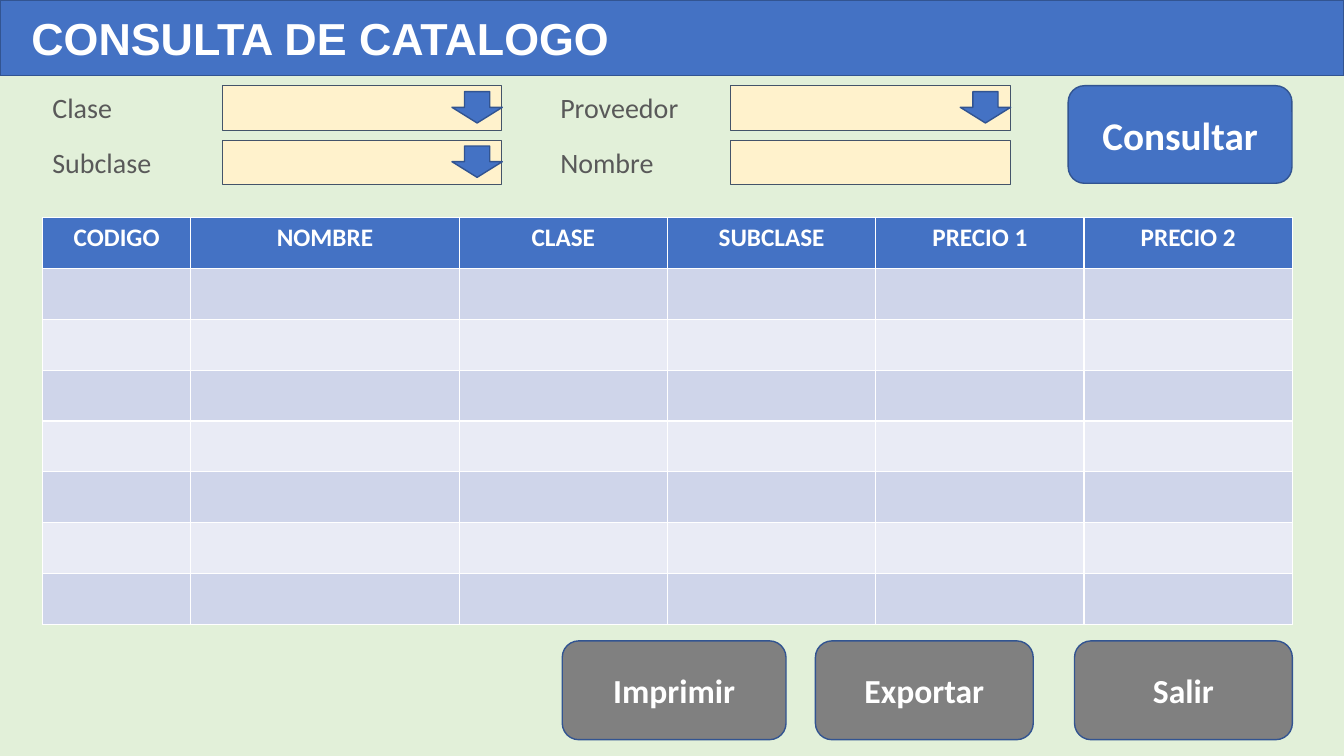
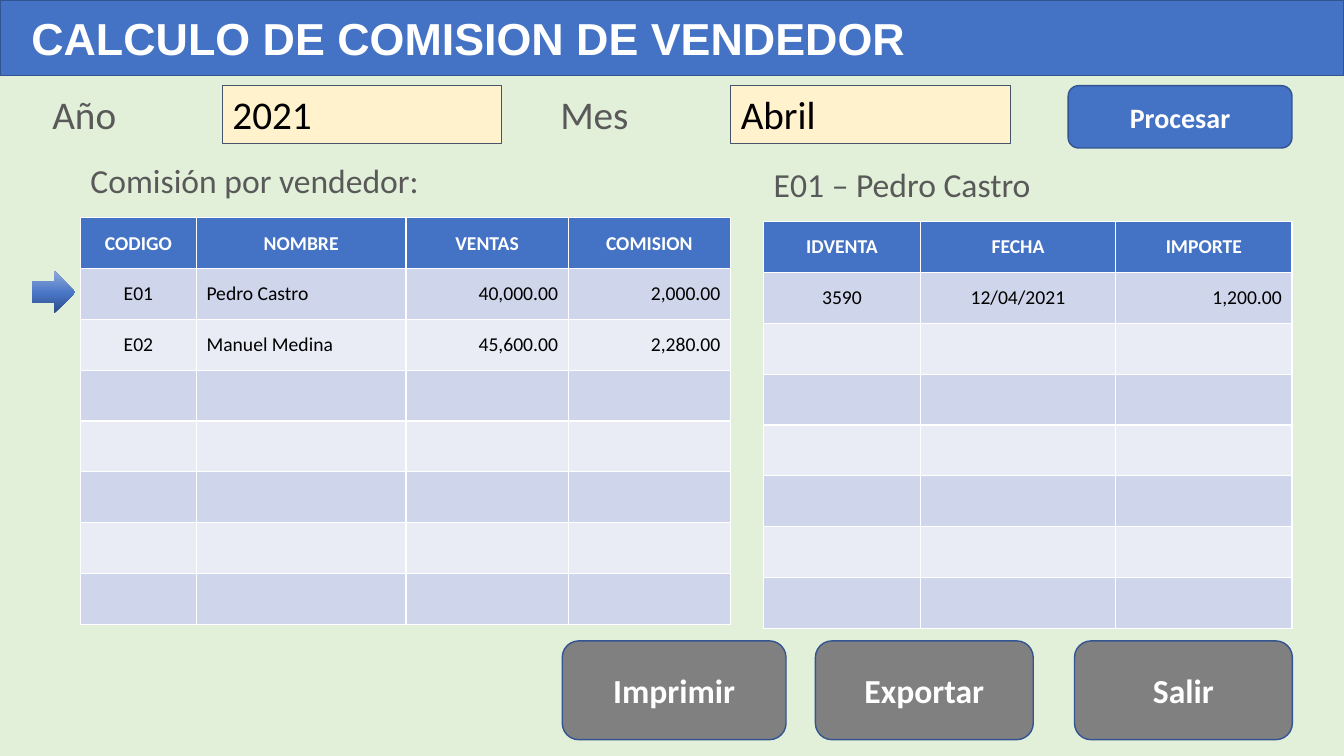
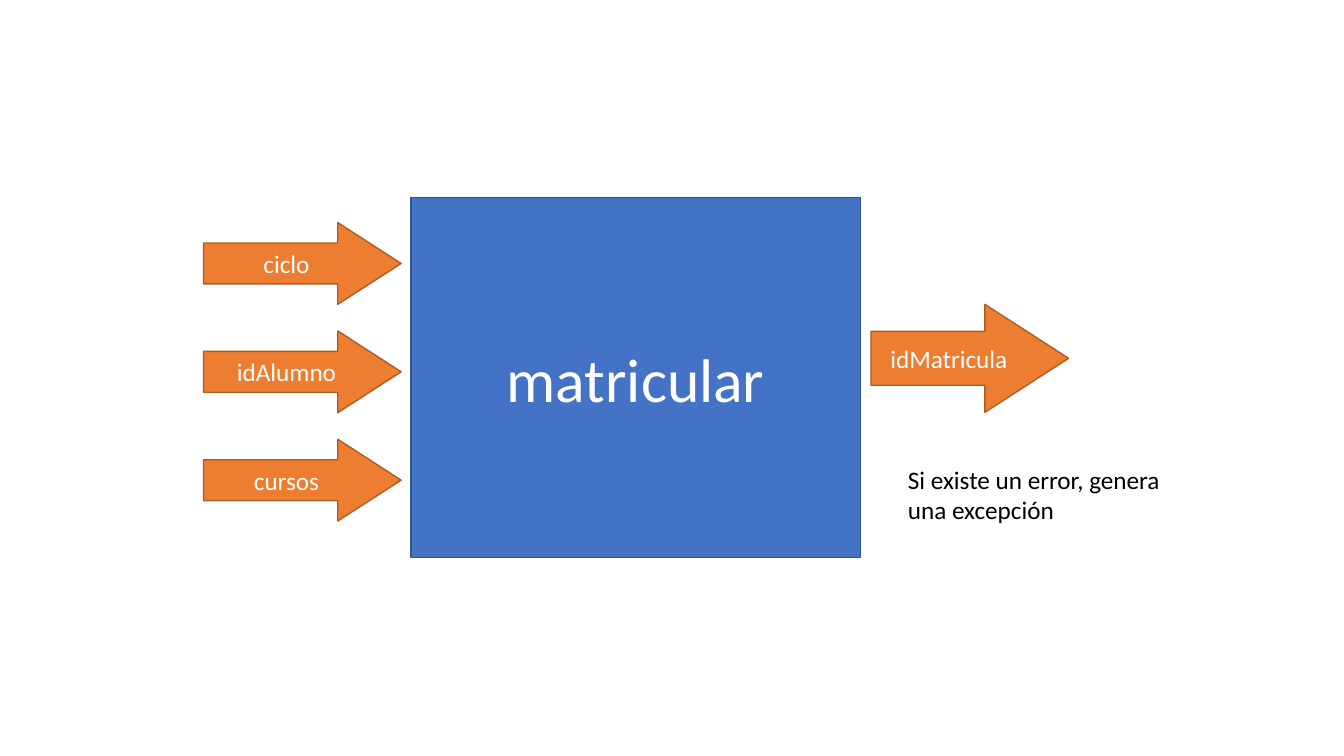
"""Builds two sales screens and one process diagram."""
from copy import deepcopy

from pptx import Presentation
from pptx import util as u
from pptx.dml.color import RGBColor
from pptx.enum import shapes, text
from pptx.oxml.ns import qn

BLUE = RGBColor(0x44, 0x72, 0xC4)
BLUE_EDGE = RGBColor(0x32, 0x54, 0x91)
BLUE_DARK = RGBColor(0x2A, 0x4B, 0x86)
BLUE_MID = RGBColor(0x4A, 0x76, 0xC6)
BLUE_LIGHT = RGBColor(0x8F, 0xAA, 0xDC)
ORANGE = RGBColor(0xED, 0x7D, 0x31)
ORANGE_EDGE = RGBColor(0xAF, 0x5C, 0x24)
CREAM = RGBColor(0xFF, 0xF2, 0xCC)
SLATE = RGBColor(0x44, 0x54, 0x6A)
GREEN = RGBColor(0xE2, 0xF0, 0xD9)
GRAY = RGBColor(0x80, 0x80, 0x80)
GRAY_TEXT = RGBColor(0x59, 0x59, 0x59)
BAND_DARK = RGBColor(0xCF, 0xD5, 0xEA)
BAND_LIGHT = RGBColor(0xE9, 0xEB, 0xF5)
WHITE = RGBColor(0xFF, 0xFF, 0xFF)
BLACK = RGBColor(0, 0, 0)

KIND = shapes.MSO_SHAPE
LEFT, CENTER, RIGHT = text.PP_ALIGN.LEFT, text.PP_ALIGN.CENTER, text.PP_ALIGN.RIGHT
TOP, MIDDLE = text.MSO_ANCHOR.TOP, text.MSO_ANCHOR.MIDDLE

WIDTH, HEIGHT = 33.87, 19.05
ROW_HEIGHT, ROW_COUNT = 1.28, 8
FIELD_TOP, FIELD_WIDTH = 2.16, 7.04
ARROW_WIDTH = 4.98


class Deck:
    """Holds the shared style and the current slide."""

    def __init__(self):
        self.file = Presentation()
        self.file.slide_width, self.file.slide_height = u.Cm(WIDTH), u.Cm(HEIGHT)
        self.slide = None

    def new_slide(self, color):
        self.slide = self.file.slides.add_slide(self.file.slide_layouts[6])
        self.slide.background.fill.solid()
        self.slide.background.fill.fore_color.rgb = color

    def new_screen(self, title):
        self.new_slide(GREEN)
        band = self.shape(KIND.RECTANGLE, 0, 0, WIDTH, 1.9, BLUE, BLUE_EDGE)
        band.text_frame.margin_left = u.Cm(0.79)
        self.set_text(band.text_frame, title, 32, WHITE, LEFT, True, "Arial")
        for caption, left, width in (("Imprimir", 14.17, 5.64), ("Exportar", 20.55, 5.49),
                                     ("Salir", 27.08, 5.49)):
            self.button(caption, left, 16.15, width, 2.49, GRAY, 24)

    def set_text(self, frame, content, size, color, align=LEFT, bold=False, font="Calibri"):
        line = frame.paragraphs[0]
        line.text, line.alignment = content, align
        line.font.name, line.font.size, line.font.bold = font, u.Pt(size), bold
        line.font.color.rgb = color

    def shape(self, kind, left, top, width, height, fill, edge, weight=1):
        shape = self.slide.shapes.add_shape(kind, *map(u.Cm, (left, top, width, height)))
        shape.shadow.inherit = False
        shape.fill.solid()
        shape.fill.fore_color.rgb = fill
        shape.line.color.rgb, shape.line.width = edge, u.Pt(weight)
        shape.text_frame.vertical_anchor = MIDDLE
        return shape

    def button(self, caption, left, top, width, height, fill, size):
        button = self.shape(KIND.ROUNDED_RECTANGLE, left, top, width, height, fill, BLUE_EDGE)
        self.set_text(button.text_frame, caption, size, WHITE, CENTER, True)

    def label(self, content, left, top, width, height, size, color=GRAY_TEXT):
        frame = self.slide.shapes.add_textbox(*map(u.Cm, (left, top, width, height))).text_frame
        frame.word_wrap = True
        frame.auto_size = text.MSO_AUTO_SIZE.SHAPE_TO_FIT_TEXT
        self.set_text(frame, content, size, color)

    def field(self, left, top, height, value="", dropdown=False):
        field = self.shape(KIND.RECTANGLE, left, top, FIELD_WIDTH, height, CREAM, SLATE, 0.75)
        if value:
            field.text_frame.vertical_anchor = TOP
            self.set_text(field.text_frame, value, 28, BLACK)
        if dropdown:
            self.shape(KIND.DOWN_ARROW, left + 5.78, top + 0.15, 1.27, 0.79, BLUE, BLUE_EDGE)

    def table(self, left, top, widths, header, records=(), aligns=(), size=14, anchor=MIDDLE):
        table = self.slide.shapes.add_table(
            ROW_COUNT, len(widths), u.Cm(left), u.Cm(top),
            u.Cm(sum(widths)), u.Cm(ROW_HEIGHT * ROW_COUNT)).table
        for column, width in zip(table.columns, widths):
            column.width = u.Cm(width)
        for number, row in enumerate(table.rows):
            row.height = u.Cm(ROW_HEIGHT)
            for cell in row.cells:
                cell.fill.solid()
                cell.fill.fore_color.rgb = (BLUE if number == 0 else
                                            BAND_DARK if number % 2 else BAND_LIGHT)
                cell.vertical_anchor = anchor
        for cell, name in zip(table.rows[0].cells, header):
            self.set_text(cell.text_frame, name, size, WHITE, CENTER, True)
        for number, record in enumerate(records, 1):
            for cell, value, align in zip(table.rows[number].cells, record, aligns):
                self.set_text(cell.text_frame, value, size, BLACK, align)

    def row_marker(self, left, top, width, height):
        marker = self.shape(KIND.RIGHT_ARROW, left, top, width, height, BLUE, BLUE)
        marker.line.fill.background()
        marker.fill.gradient()
        marker.fill.gradient_angle = 90
        first = marker._element.spPr.find(qn("a:gradFill")).find(qn("a:gsLst"))[0]
        first.addnext(deepcopy(first))
        for stop, color, position in zip(marker.fill.gradient_stops,
                                         (BLUE_DARK, BLUE_MID, BLUE_LIGHT), (0, 0.48, 1)):
            stop.color.rgb, stop.position = color, position

    def flow_arrow(self, caption, left, top, height):
        arrow = self.shape(KIND.RIGHT_ARROW, left, top, ARROW_WIDTH, height, ORANGE, ORANGE_EDGE)
        arrow.adjustments[0], arrow.adjustments[1] = 0.5, 0.775
        self.set_text(arrow.text_frame, caption, 18, WHITE, CENTER)


deck = Deck()

deck.new_screen("CONSULTA DE CATALOGO")
filters = ((1.07, 5.61, (("Clase", True), ("Subclase", True))),
           (13.87, 18.42, (("Proveedor", True), ("Nombre", False))))
for label_left, field_left, names in filters:
    for level, (name, dropdown) in enumerate(names):
        level_top = FIELD_TOP + 1.37 * level
        deck.label(name, label_left, level_top, 3.76, 1.12, 20)
        deck.field(field_left, level_top, 1.12, dropdown=dropdown)
deck.button("Consultar", 26.92, FIELD_TOP, 5.64, 2.46, BLUE, 28)
deck.table(1.07, 5.49, (3.74, 6.76) + (5.25,) * 4,
           ("CODIGO", "NOMBRE", "CLASE", "SUBCLASE", "PRECIO 1", "PRECIO 2"),
           size=18, anchor=TOP)

deck.new_screen("CALCULO DE COMISION DE VENDEDOR")
for name, label_left, field_left, value in (("Año", 1.07, 5.61, "2021"),
                                            ("Mes", 13.87, 18.42, "Abril")):
    deck.label(name, label_left, FIELD_TOP, 3.76, 1.45, 28)
    deck.field(field_left, FIELD_TOP, 1.45, value)
deck.button("Procesar", 26.92, FIELD_TOP, 5.64, 1.57, BLUE, 20)
deck.label("Comisión por vendedor:", 2.03, 3.91, 14.25, 1.27, 24)
deck.table(2.03, 5.49, (2.92, 5.28, 4.09, 4.09),
           ("CODIGO", "NOMBRE", "VENTAS", "COMISION"),
           (("E01", "Pedro Castro", "40,000.00", "2,000.00"),
            ("E02", "Manuel Medina", "45,600.00", "2,280.00")),
           (CENTER, LEFT, RIGHT, RIGHT))
deck.label("E01 – Pedro Castro", 19.25, 4.01, 12.6, 1.27, 24)
deck.table(19.25, 5.59, (3.94, 4.93, 4.44), ("IDVENTA", "FECHA", "IMPORTE"),
           (("3590", "12/04/2021", "1,200.00"),), (CENTER, CENTER, RIGHT))
deck.row_marker(0.81, 6.83, 1.09, 1.07)

deck.new_slide(WHITE)
process = deck.shape(KIND.RECTANGLE, 10.36, 4.98, 11.33, 9.07, BLUE, BLUE_EDGE)
deck.set_text(process.text_frame, "matricular", 44, WHITE, CENTER)
for order, entry in enumerate(("ciclo", "idAlumno", "cursos")):
    deck.flow_arrow(entry, 5.13, 5.61 + 2.73 * order, 2.06)
deck.flow_arrow("idMatricula", 21.95, 7.67, 2.72)
deck.label("Si existe un error, genera una excepción", 22.63, 11.58, 7.37, 1.8, 18, BLACK)

deck.file.save("out.pptx")
